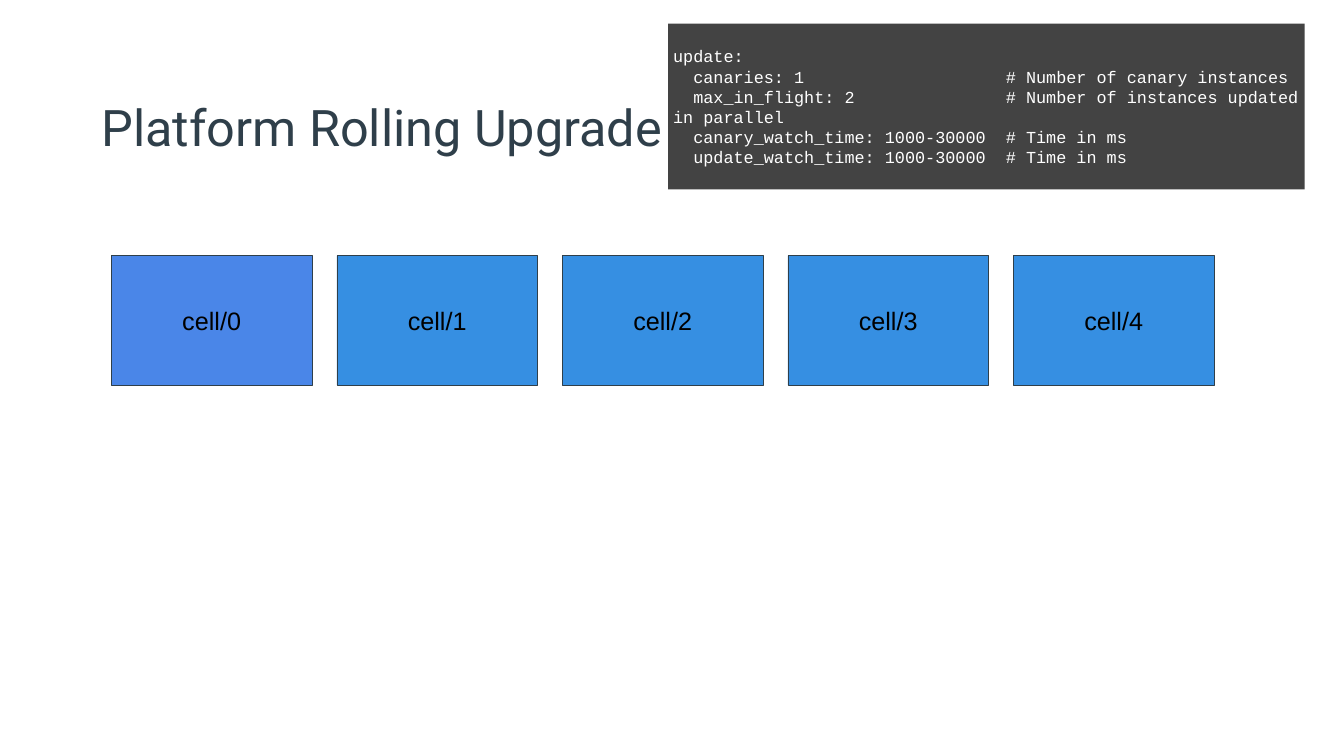
from pptx import Presentation
from pptx.dml.color import RGBColor
from pptx.enum.shapes import MSO_SHAPE
from pptx.enum.text import MSO_ANCHOR, MSO_AUTO_SIZE, PP_ALIGN
from pptx.util import Inches, Pt

RECTANGLE = MSO_SHAPE.RECTANGLE
MIDDLE = MSO_ANCHOR.MIDDLE
NO_AUTOFIT = MSO_AUTO_SIZE.NONE
LEFT, CENTER = PP_ALIGN.LEFT, PP_ALIGN.CENTER

WIDTH, HEIGHT = 26.67, 15
TITLE_ONLY = 5

SLATE, CHARCOAL = "2F3F4A", "434343"
CANARY_BLUE, CELL_BLUE = "4A86E8", "368FE2"

CELL_COUNT = 5
CELL_LEFT, CELL_TOP = 2.21, 5.07
CELL_WIDTH, CELL_HEIGHT = 3.98, 2.57
CELL_PITCH = 4.475

UPDATE_CONFIG = """update:
  canaries: 1                    # Number of canary instances
  max_in_flight: 2               # Number of instances updated in parallel
  canary_watch_time: 1000-30000  # Time in ms
  update_watch_time: 1000-30000  # Time in ms"""


def color(value):
    return RGBColor.from_string(value)


def write(frame, text, *, font, size, fill, align=LEFT, inset=0.1):
    """Fill a text frame with one paragraph; newlines become line breaks."""
    frame.word_wrap = True
    frame.auto_size = NO_AUTOFIT
    frame.vertical_anchor = MIDDLE
    frame.margin_left = frame.margin_right = Inches(inset)
    frame.margin_top = frame.margin_bottom = Inches(inset)
    paragraph = frame.paragraphs[0]
    paragraph.alignment = align
    paragraph.line_spacing = 1.0
    paragraph.space_before = Pt(0)
    for number, line in enumerate(text.split("\n")):
        if number:
            paragraph.add_line_break()
        run = paragraph.add_run()
        run.text = line
        run.font.name = font
        run.font.size = Pt(size)
        run.font.color.rgb = color(fill)


class UpgradeSlide:
    """The current slide and the style of its elements."""

    def __init__(self, presentation):
        self.slide = presentation.slides.add_slide(
            presentation.slide_layouts[TITLE_ONLY])
        background = self.slide.background.fill
        background.solid()
        background.fore_color.rgb = color("FFFFFF")

    def title(self, text, left, top, width, height):
        heading = self.slide.shapes.title
        heading.left, heading.top = Inches(left), Inches(top)
        heading.width, heading.height = Inches(width), Inches(height)
        write(heading.text_frame, text, font="Roboto", size=72, fill=SLATE,
              inset=0)

    def box(self, left, top, width, height, fill, outline=None):
        rectangle = self.slide.shapes.add_shape(
            RECTANGLE, Inches(left), Inches(top), Inches(width), Inches(height))
        rectangle.shadow.inherit = False
        rectangle.fill.solid()
        rectangle.fill.fore_color.rgb = color(fill)
        if outline:
            rectangle.line.color.rgb = color(outline)
            rectangle.line.width = Pt(0.75)
        else:
            rectangle.line.fill.background()
        return rectangle

    def cell(self, index):
        fill = CELL_BLUE if index else CANARY_BLUE
        cell = self.box(CELL_LEFT + index * CELL_PITCH, CELL_TOP,
                        CELL_WIDTH, CELL_HEIGHT, fill, outline=SLATE)
        write(cell.text_frame, f"cell/{index}", font="Arial", size=36,
              fill="000000", align=CENTER)

    def code(self, text, left, top, width, height):
        panel = self.box(left, top, width, height, CHARCOAL)
        write(panel.text_frame, text, font="Courier New", size=24,
              fill="FFFFFF")


def main():
    presentation = Presentation()
    presentation.slide_width = Inches(WIDTH)
    presentation.slide_height = Inches(HEIGHT)
    upgrade = UpgradeSlide(presentation)
    upgrade.title("Platform Rolling Upgrade", 2.01, 1.81, 18.01, 1.38)
    for index in range(CELL_COUNT):
        upgrade.cell(index)
    upgrade.code(UPDATE_CONFIG, 13.26, 0.47, 12.63, 3.29)
    presentation.save("out.pptx")


if __name__ == "__main__":
    main()
